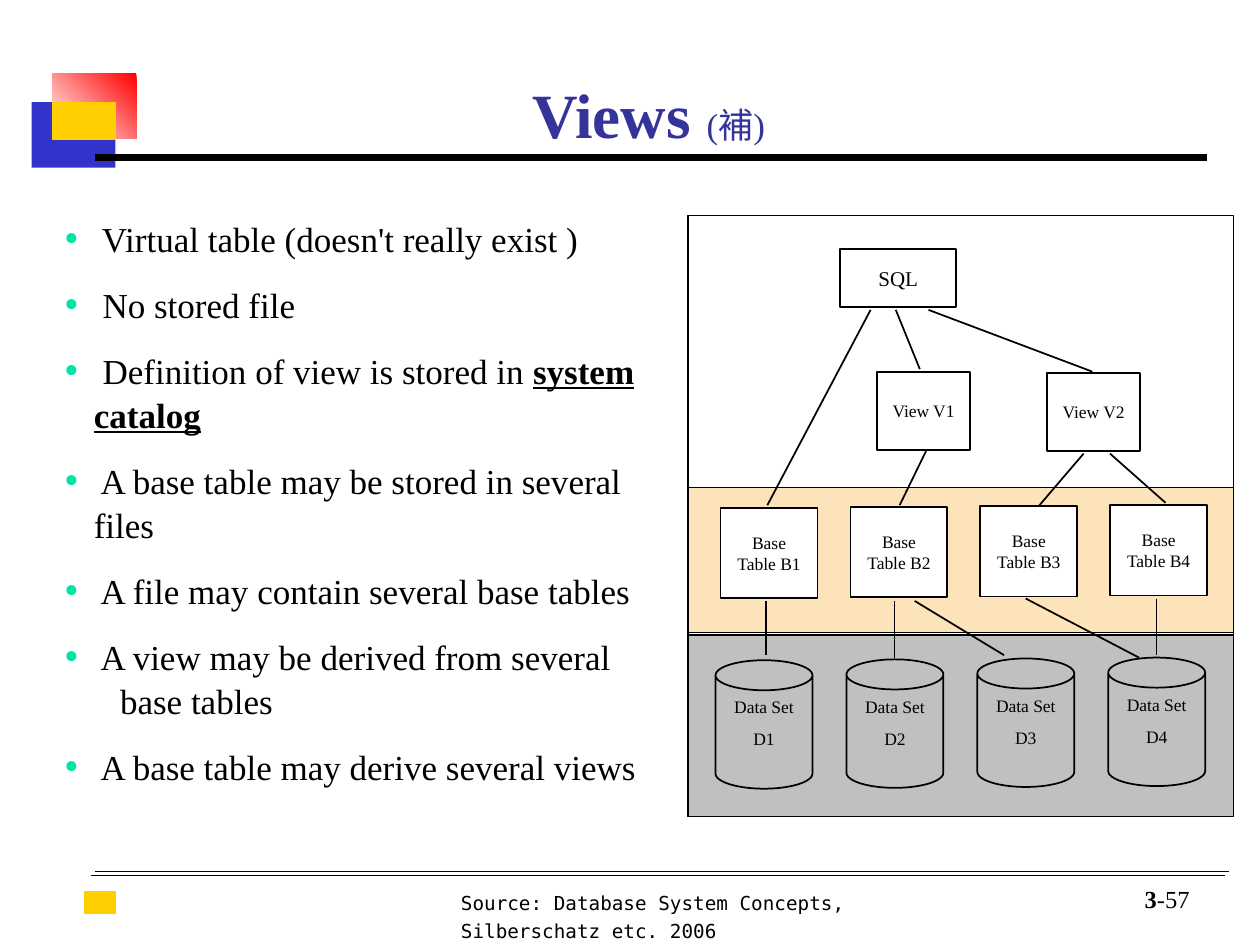
from dataclasses import dataclass

from lxml.etree import SubElement
from pptx import Presentation
from pptx.dml.color import RGBColor as RGB
from pptx.enum.shapes import MSO_CONNECTOR as Connector, MSO_SHAPE as Shape
from pptx.enum.text import MSO_ANCHOR as Anchor, MSO_AUTO_SIZE as AutoSize, PP_ALIGN as Align
from pptx.oxml.ns import qn
from pptx.util import Pt


@dataclass(frozen=True)
class Theme:
    black: RGB = RGB(0, 0, 0)
    white: RGB = RGB(255, 255, 255)
    title: RGB = RGB.from_string("333399")
    blue: RGB = RGB.from_string("3333CC")
    red: RGB = RGB.from_string("FF0000")
    yellow: RGB = RGB.from_string("FFCF01")
    bullet: RGB = RGB.from_string("00E4A8")
    peach: RGB = RGB.from_string("FDE3BA")
    gray: RGB = RGB.from_string("C0C0C0")
    serif: str = "Times New Roman"
    mono: str = "DejaVu Sans Mono"
    title_size: int = 36
    body_size: int = 20
    page_size: int = 14
    query_size: int = 12
    source_size: int = 11
    label_size: int = 10


THEME = Theme()


def add_run(paragraph, text, size, color=THEME.black, font=THEME.serif, bold=False, underline=False):
    run = paragraph.add_run()
    run.text = text
    run.font.name = font
    run.font.size = Pt(size)
    run.font.color.rgb = color
    run.font.bold = bold
    run.font.underline = underline


def add_block(slide, kind, box, fill=None, line=None, width=1):
    block = slide.shapes.add_shape(kind, *map(Pt, box))
    block.shadow.inherit = False
    if fill is None:
        block.fill.background()
    else:
        block.fill.solid()
        block.fill.fore_color.rgb = fill
    if line is None:
        block.line.fill.background()
    else:
        block.line.color.rgb = line
        block.line.width = Pt(width)
    return block


def add_rule(slide, x1, y1, x2, y2, width=1):
    rule = slide.shapes.add_connector(Connector.STRAIGHT, Pt(x1), Pt(y1), Pt(x2), Pt(y2))
    rule.line.color.rgb = THEME.black
    rule.line.width = Pt(width)
    SubElement(rule._element.spPr, qn("a:effectLst"))


def add_text_frame(slide, box):
    frame = slide.shapes.add_textbox(*map(Pt, box)).text_frame
    frame.word_wrap = True
    return frame


def add_label(block, lines, size=THEME.label_size, anchor=Anchor.MIDDLE, gap=0):
    frame = block.text_frame
    frame.word_wrap = False
    frame.vertical_anchor = anchor
    for index, text in enumerate(lines):
        paragraph = frame.add_paragraph() if index else frame.paragraphs[0]
        paragraph.alignment = Align.CENTER
        if index:
            paragraph.space_before = Pt(gap)
        add_run(paragraph, text, size)


def place_header(slide, left, top):
    add_block(slide, Shape.RECTANGLE, (left, top + 16.6, 48, 37.4), THEME.blue)
    fade = add_block(slide, Shape.RECTANGLE, (left + 12, top, 48, 37.4), THEME.red)
    fade.fill.gradient()
    fade.fill.gradient_angle = 225
    for stop, color in zip(fade.fill.gradient_stops, (THEME.red, THEME.white)):
        stop.color.rgb = color
    add_block(slide, Shape.RECTANGLE, (left + 12, top + 16.6, 36, 21.4),
              THEME.yellow, THEME.yellow, 0.75)
    add_rule(slide, left + 36, top + 48.2, left + 672, top + 48.2, 4.5)

    title = slide.shapes.title
    title.left, title.top = Pt(left + 66.2), Pt(top - 5.8)
    title.width, title.height = Pt(573), Pt(54)
    frame = title.text_frame
    frame.auto_size = AutoSize.NONE
    frame.vertical_anchor = Anchor.BOTTOM
    heading = frame.paragraphs[0]
    heading.alignment = Align.CENTER
    add_run(heading, "Views ", THEME.title_size, THEME.title, bold=True)
    add_run(heading, "(補)", THEME.body_size, THEME.title)


def set_bullet(paragraph, indent):
    properties = paragraph._p.get_or_add_pPr()
    properties.set("marL", str(Pt(indent)))
    properties.set("indent", str(-Pt(indent)))
    color = SubElement(properties, qn("a:buClr"))
    SubElement(color, qn("a:srgbClr"), val=str(THEME.bullet))
    SubElement(properties, qn("a:buSzPct"), val="120000")
    SubElement(properties, qn("a:buFont"), typeface=THEME.serif)
    SubElement(properties, qn("a:buChar"), char="•")


def place_points(slide, box):
    points = (
        (" Virtual table (doesn't really exist )",),
        (" No stored file",),
        (" Definition of view is stored in ", "system catalog"),
        (" A base table may be stored in several files",),
        (" A file may contain several base tables",),
        (" A view may be derived from several",),
        ("base tables",),
        (" A base table may derive several views",),
    )
    frame = add_text_frame(slide, box)
    for index, (text, *emphasis) in enumerate(points):
        paragraph = frame.add_paragraph() if index else frame.paragraphs[0]
        continues = text == "base tables"
        if continues:
            paragraph._p.get_or_add_pPr().set("marL", str(Pt(32)))
        else:
            set_bullet(paragraph, 17)
        paragraph.line_spacing = 1.05
        if index and not continues:
            paragraph.space_before = Pt(12.5)
        add_run(paragraph, text, THEME.body_size)
        for term in emphasis:
            add_run(paragraph, term, THEME.body_size, bold=True, underline=True)


def place_diagram(slide, left, top, width, height):
    def block(kind, x, y, w, h, fill=None):
        return add_block(slide, kind, (left + x, top + y, w, h), fill, THEME.black)

    for y, depth, fill in ((0, height, THEME.white), (239.8, 103.7, THEME.gray),
                           (155.5, 82.8, THEME.peach)):
        block(Shape.RECTANGLE, 0, y, width, depth, fill)

    query = block(Shape.RECTANGLE, 87.1, 19.4, 66.2, 33.1, THEME.white)
    add_label(query, ["SQL"], THEME.query_size)
    for name, x, y in (("View V1", 108, 89.3), ("View V2", 205.2, 90)):
        add_label(block(Shape.RECTANGLE, x, y, 53.3, 44.6, THEME.white), [name])

    for index in range(4):
        number = index + 1
        rise = 0.5 * index
        table = block(Shape.RECTANGLE, 18.7 + 74.2 * index, 167 - rise, 55.4, 51.8, THEME.white)
        add_label(table, ["Base", f"Table B{number}"])
        data_set = block(Shape.CAN, 15.8 + 74.8 * index, 254.2 - rise, 55.4, 73.4)
        data_set.adjustments[0] = 0.31
        add_label(data_set, ["Data Set", f"D{number}"], anchor=Anchor.TOP, gap=6.2)

    links = (
        (118.8, 54, 132.5, 87.8), (137.5, 54, 231.1, 89.3), (104.4, 54, 45.4, 165.6),
        (136.1, 134.6, 121, 165.6), (226.1, 136.1, 200.9, 165.6), (241.2, 136.1, 272.9, 164.2),
        (44.6, 220.3, 44.6, 251.3), (118.1, 220.3, 118.1, 252.7), (129.6, 220.3, 180.7, 251.3),
        (193, 218.9, 257.8, 252.7), (267.8, 218.9, 267.8, 251.3),
    )
    for x1, y1, x2, y2 in links:
        add_rule(slide, left + x1, top + y1, left + x2, top + y2)


def place_footer(slide, left, top):
    add_rule(slide, left + 2.2, top, left + 650.2, top, 0.5)
    add_rule(slide, left, top + 2.2, left + 648, top + 2.2, 0.5)
    add_block(slide, Shape.RECTANGLE, (left - 3.6, top + 11.6, 18, 12.2),
              THEME.yellow, THEME.yellow, 0.75)

    source = add_text_frame(slide, (left + 204.5, top + 5, 313.2, 38.9)).paragraphs[0]
    source.line_spacing = 1.2
    add_run(source, "Source: Database System Concepts, Silberschatz etc. 2006",
            THEME.source_size, font=THEME.mono)

    page_frame = add_text_frame(slide, (left + 575.3, top + 3.6, 59.8, 23.8))
    page_frame.vertical_anchor = Anchor.BOTTOM
    page = page_frame.paragraphs[0]
    page.alignment = Align.RIGHT
    add_run(page, "3", THEME.page_size, bold=True)
    add_run(page, "-57", THEME.page_size)


def main():
    deck = Presentation()
    deck.slide_width, deck.slide_height = Pt(720), Pt(540)
    slide = deck.slides.add_slide(deck.slide_layouts[5])
    place_header(slide, 18, 41.8)
    place_points(slide, (29.5, 119.5, 368.6, 298.8))
    place_diagram(slide, 393.1, 123.1, 311.8, 343.4)
    place_footer(slide, 51.8, 498.2)
    deck.save("out.pptx")


if __name__ == "__main__":
    main()
